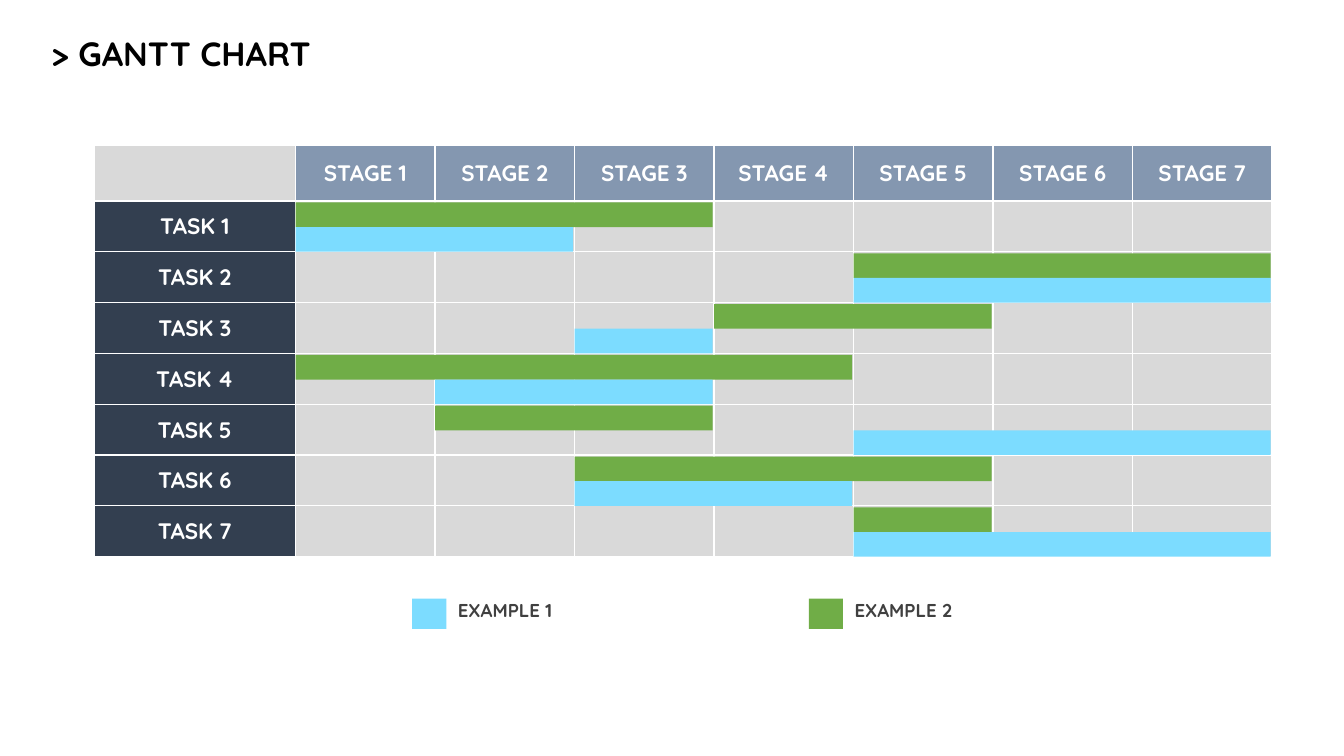
from dataclasses import dataclass

from lxml.etree import SubElement
from pptx import Presentation
from pptx.dml.color import RGBColor
from pptx.enum.shapes import MSO_SHAPE as Shape
from pptx.enum.text import MSO_ANCHOR as Anchor, MSO_AUTO_SIZE as AutoSize, PP_ALIGN as Align
from pptx.oxml.ns import qn
from pptx.util import Pt

COLORS = {
    "black": "000000",
    "white": "FFFFFF",
    "legend_text": "404040",
    "empty": "D9D9D9",
    "stage": "8497B0",
    "task": "333F50",
    "example_1": "7CDCFF",
    "example_2": "70AD47",
}
FONT = "Quicksand"
COUNT = 7  # stages and tasks

TABLE_LEFT, TABLE_TOP = 67.2, 104.2
TASK_WIDTH, STAGE_WIDTH = 144, 99.7
HEADER_HEIGHT, TASK_HEIGHT = 39.4, 36.3
BAR_HEIGHT, BAR_GAP = 17.6, 1


@dataclass
class Bar:
    task: int
    first_stage: int
    last_stage: int
    example: str


@dataclass
class LegendItem:
    left: float
    label: str
    example: str


BARS = [
    Bar(1, 1, 3, "example_2"),
    Bar(1, 1, 2, "example_1"),
    Bar(2, 5, 7, "example_2"),
    Bar(2, 5, 7, "example_1"),
    Bar(3, 4, 5, "example_2"),
    Bar(3, 3, 3, "example_1"),
    Bar(4, 1, 4, "example_2"),
    Bar(4, 2, 3, "example_1"),
    Bar(5, 2, 3, "example_2"),
    Bar(5, 5, 7, "example_1"),
    Bar(6, 3, 5, "example_2"),
    Bar(6, 3, 4, "example_1"),
    Bar(7, 5, 5, "example_2"),
    Bar(7, 5, 7, "example_1"),
]
LEGEND = [
    LegendItem(294.5, "EXAMPLE 1", "example_1"),
    LegendItem(578, "EXAMPLE 2", "example_2"),
]


def rgb(name: str) -> RGBColor:
    return RGBColor.from_string(COLORS[name])


def write(frame, text: str, size: float, color: str, align=Align.LEFT) -> None:
    frame.text = text
    para = frame.paragraphs[0]
    para.alignment = align
    font = para.runs[0].font
    font.name, font.size, font.bold = FONT, Pt(size), True
    font.color.rgb = rgb(color)


def add_bar(shapes, left: float, top: float, width: float, height: float, color: str) -> None:
    box = shapes.add_shape(Shape.RECTANGLE, Pt(left), Pt(top), Pt(width), Pt(height))
    box.shadow.inherit = False
    box.fill.solid()
    box.fill.fore_color.rgb = rgb(color)
    box.line.fill.background()


def add_title(slide) -> None:
    title = slide.shapes.title
    title.left, title.top, title.width, title.height = Pt(29.5), Pt(20.2), Pt(383), Pt(41.8)
    frame = title.text_frame
    frame.auto_size = AutoSize.NONE
    frame.vertical_anchor = Anchor.TOP
    write(frame, "> GANTT CHART", 24, "black")


def style_cell(cell, text: str, color: str) -> None:
    properties = cell._tc.get_or_add_tcPr()
    for side in ("a:lnL", "a:lnR", "a:lnT", "a:lnB"):
        border = SubElement(properties, qn(side), w=str(Pt(1)))
        SubElement(SubElement(border, qn("a:solidFill")), qn("a:srgbClr"), val=COLORS["white"])
    cell.fill.solid()
    cell.fill.fore_color.rgb = rgb(color)
    if text:
        cell.vertical_anchor = Anchor.MIDDLE
        cell.margin_left = cell.margin_right = Pt(9.4)
        cell.margin_top = cell.margin_bottom = Pt(5)
        write(cell.text_frame, text, 16, "white", Align.CENTER)


def add_grid(slide) -> None:
    table = slide.shapes.add_table(
        COUNT + 1, COUNT + 1, Pt(TABLE_LEFT), Pt(TABLE_TOP),
        Pt(TASK_WIDTH + COUNT * STAGE_WIDTH), Pt(HEADER_HEIGHT + COUNT * TASK_HEIGHT),
    ).table
    table.first_row = table.horz_banding = False
    for index in range(COUNT + 1):
        table.columns[index].width = Pt(STAGE_WIDTH if index else TASK_WIDTH)
        table.rows[index].height = Pt(TASK_HEIGHT if index else HEADER_HEIGHT)
    for row in range(COUNT + 1):
        for column in range(COUNT + 1):
            text, color = "", "empty"
            if row == 0 and column:
                text, color = f"STAGE {column}", "stage"
            elif column == 0 and row:
                text, color = f"TASK {row}", "task"
            style_cell(table.cell(row, column), text, color)


def add_task_bar(slide, bar: Bar) -> None:
    """Example 2 fills the upper half of a task row, example 1 the lower half."""
    left = TABLE_LEFT + TASK_WIDTH + (bar.first_stage - 1) * STAGE_WIDTH
    top = TABLE_TOP + HEADER_HEIGHT + (bar.task - 1) * TASK_HEIGHT + BAR_GAP
    if bar.example == "example_1":
        top += BAR_HEIGHT
    width = (bar.last_stage - bar.first_stage + 1) * STAGE_WIDTH - BAR_GAP
    add_bar(slide.shapes, left, top, width, BAR_HEIGHT, bar.example)


def add_legend_item(slide, item: LegendItem) -> None:
    group = slide.shapes.add_group_shape()
    add_bar(group.shapes, item.left, 427.7, 24.5, 21.6, item.example)
    box = group.shapes.add_textbox(Pt(item.left + 25.6), Pt(424), Pt(111.6), Pt(23.8))
    box.text_frame.word_wrap = True
    write(box.text_frame, item.label, 13.3, "legend_text")


def main() -> None:
    deck = Presentation()
    deck.slide_width, deck.slide_height = Pt(960.5), Pt(540)
    slide = deck.slides.add_slide(deck.slide_layouts[5])
    add_title(slide)
    add_grid(slide)
    for item in LEGEND:
        add_legend_item(slide, item)
    for bar in BARS:
        add_task_bar(slide, bar)
    deck.save("out.pptx")


if __name__ == "__main__":
    main()
